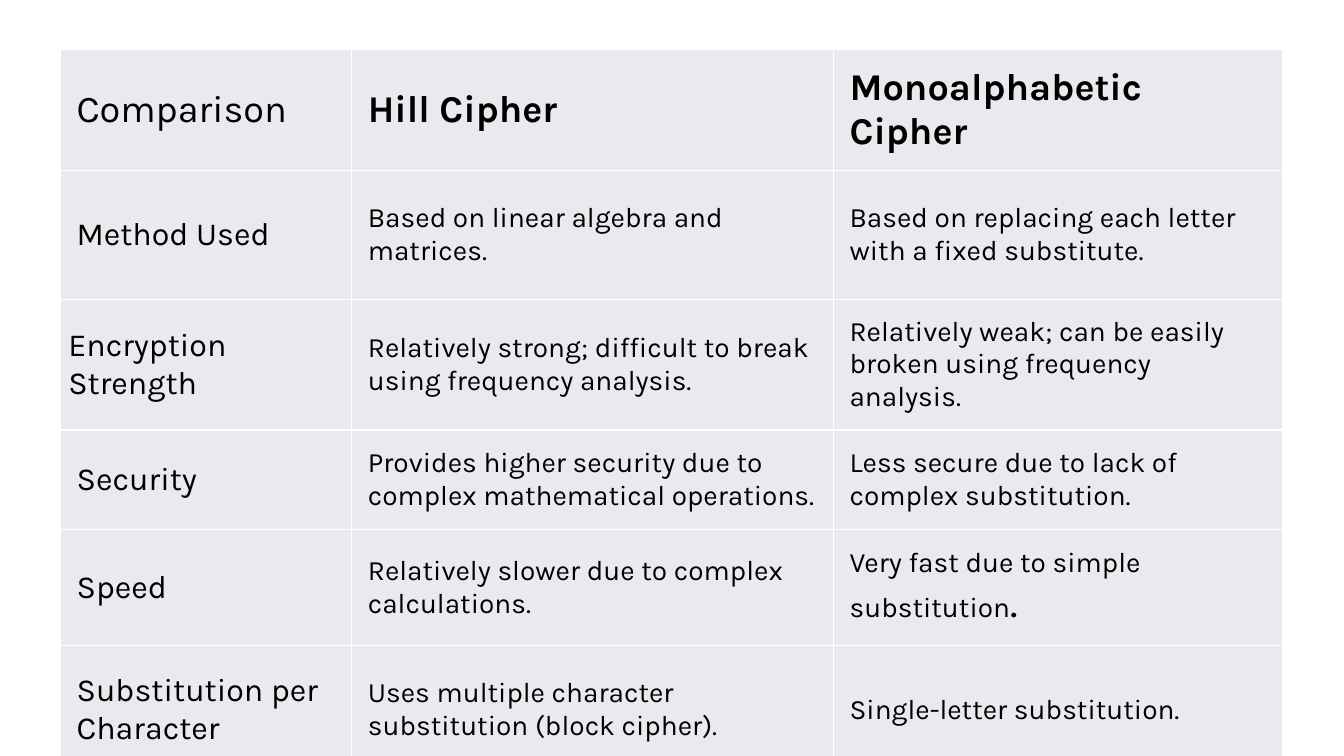
from lxml.etree import SubElement
from pptx import Presentation
from pptx.dml.color import RGBColor
from pptx.enum.text import MSO_ANCHOR as Anchor
from pptx.oxml.ns import qn
from pptx.util import Cm, Pt

FONT = "Karla"
BLACK, WHITE, GREY = "000000", "FFFFFF", "E8EAED"
HEAD_SIZE, LABEL_SIZE, BODY_SIZE, STOP_SIZE = 27, 23, 20, 30

COL_WIDTHS = [7.34, 12.14, 11.33]
ROW_HEIGHTS = [2.08, 3.25, 2.51, 2.51, 2.92, 3.25]
WIDE_INSETS = (0.41, 0.41)
NARROW_INSETS = (0.2, 0.1)

HEADINGS = ["Comparison", "Hill Cipher", "Monoalphabetic Cipher"]
ROWS = [
    ["Method Used",
     "Based on linear algebra and matrices.",
     "Based on replacing each letter with a fixed substitute."],
    ["Encryption Strength",
     "Relatively strong; difficult to break using frequency analysis.",
     "Relatively weak; can be easily broken using frequency analysis."],
    ["Security",
     "Provides higher security due to complex mathematical operations.",
     "Less secure due to lack of complex substitution."],
    ["Speed",
     "Relatively slower due to complex calculations.",
     "Very fast due to simple substitution"],
    ["Substitution per Character",
     "Uses multiple character substitution (block cipher).",
     "Single-letter substitution."],
]


def color(value):
    return RGBColor.from_string(value)


def add_run(p, text, size, bold=False):
    r = p.add_run()
    r.text = text
    r.font.name = FONT
    r.font.size = Pt(size)
    r.font.bold = bold
    r.font.color.rgb = color(BLACK)


def set_borders(cell, value, width):
    tc_pr = cell._tc.get_or_add_tcPr()
    for side in ("lnL", "lnR", "lnT", "lnB"):
        line = SubElement(tc_pr, qn(f"a:{side}"), w=str(Pt(width)))
        fill = SubElement(line, qn("a:solidFill"))
        SubElement(fill, qn("a:srgbClr"), val=value)


def format_cell(cell, insets):
    side, edge = insets
    cell.margin_left = cell.margin_right = Cm(side)
    cell.margin_top = cell.margin_bottom = Cm(edge)
    cell.vertical_anchor = Anchor.MIDDLE
    # Borders must come before the fill in the cell properties
    set_borders(cell, WHITE, 1)
    cell.fill.solid()
    cell.fill.fore_color.rgb = color(GREY)


def add_table(s, left, top):
    frame = s.shapes.add_table(
        len(ROW_HEIGHTS), len(COL_WIDTHS), Cm(left), Cm(top),
        Cm(sum(COL_WIDTHS)), Cm(sum(ROW_HEIGHTS)))
    table = frame.table
    table.first_row = table.horz_banding = False
    for column, width in zip(table.columns, COL_WIDTHS):
        column.width = Cm(width)
    for row, height in zip(table.rows, ROW_HEIGHTS):
        row.height = Cm(height)
    return table


def fill_table(table):
    for i, texts in enumerate([HEADINGS] + ROWS):
        for j, text in enumerate(texts):
            cell = table.cell(i, j)
            narrow = text == "Encryption Strength"
            format_cell(cell, NARROW_INSETS if narrow else WIDE_INSETS)
            size = HEAD_SIZE if i == 0 else BODY_SIZE if j else LABEL_SIZE
            add_run(cell.text_frame.paragraphs[0], text, size,
                    bold=i == 0 and j > 0)


def main():
    prs = Presentation()
    prs.slide_width, prs.slide_height = Cm(33.87), Cm(19.05)
    s = prs.slides.add_slide(prs.slide_layouts[6])

    # Comparison of the two ciphers
    table = add_table(s, 1.52, 1.24)
    fill_table(table)

    # Larger full stop that closes the last speed cell
    add_run(table.cell(4, 2).text_frame.paragraphs[0], ".", STOP_SIZE)

    prs.save("out.pptx")


if __name__ == "__main__":
    main()
